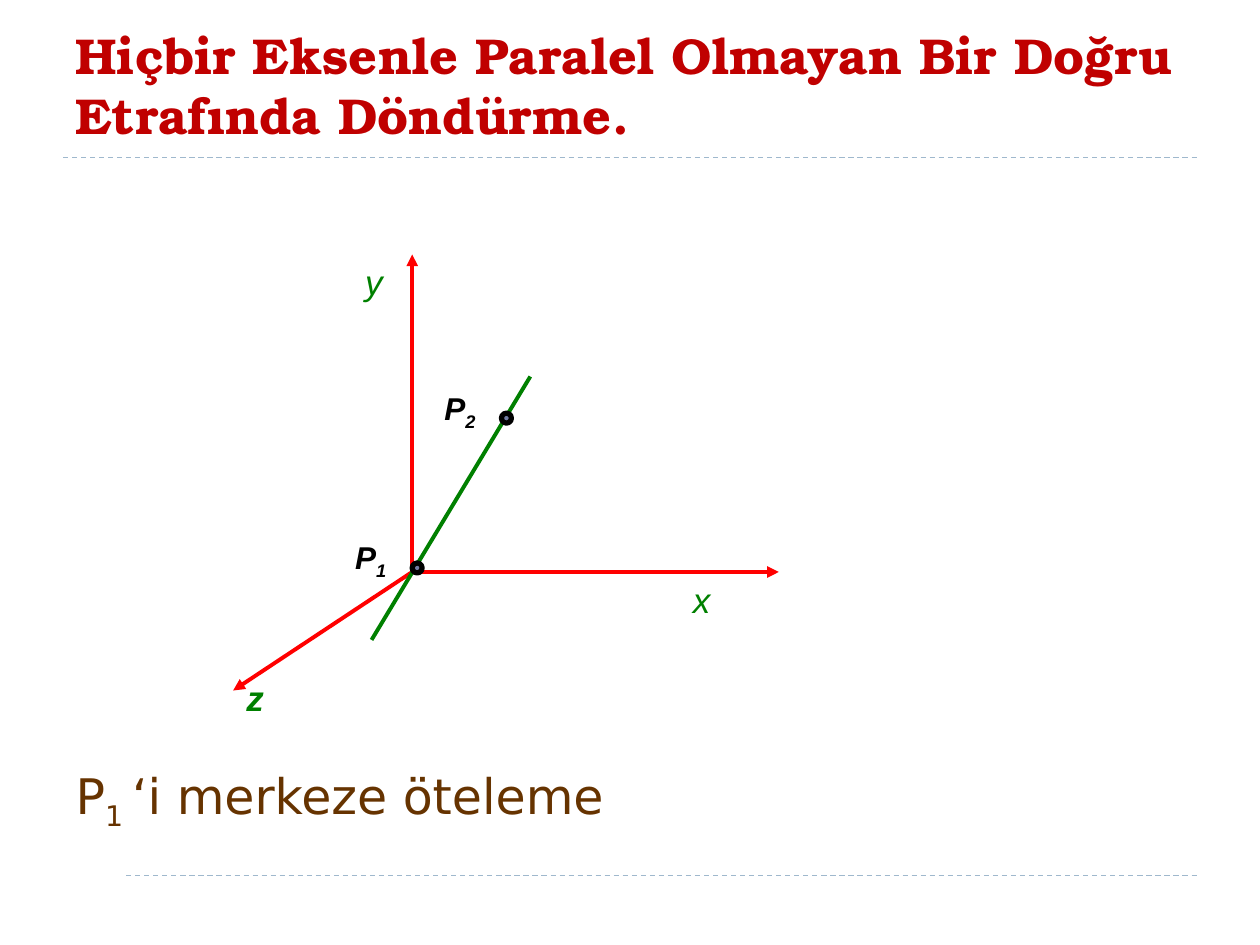
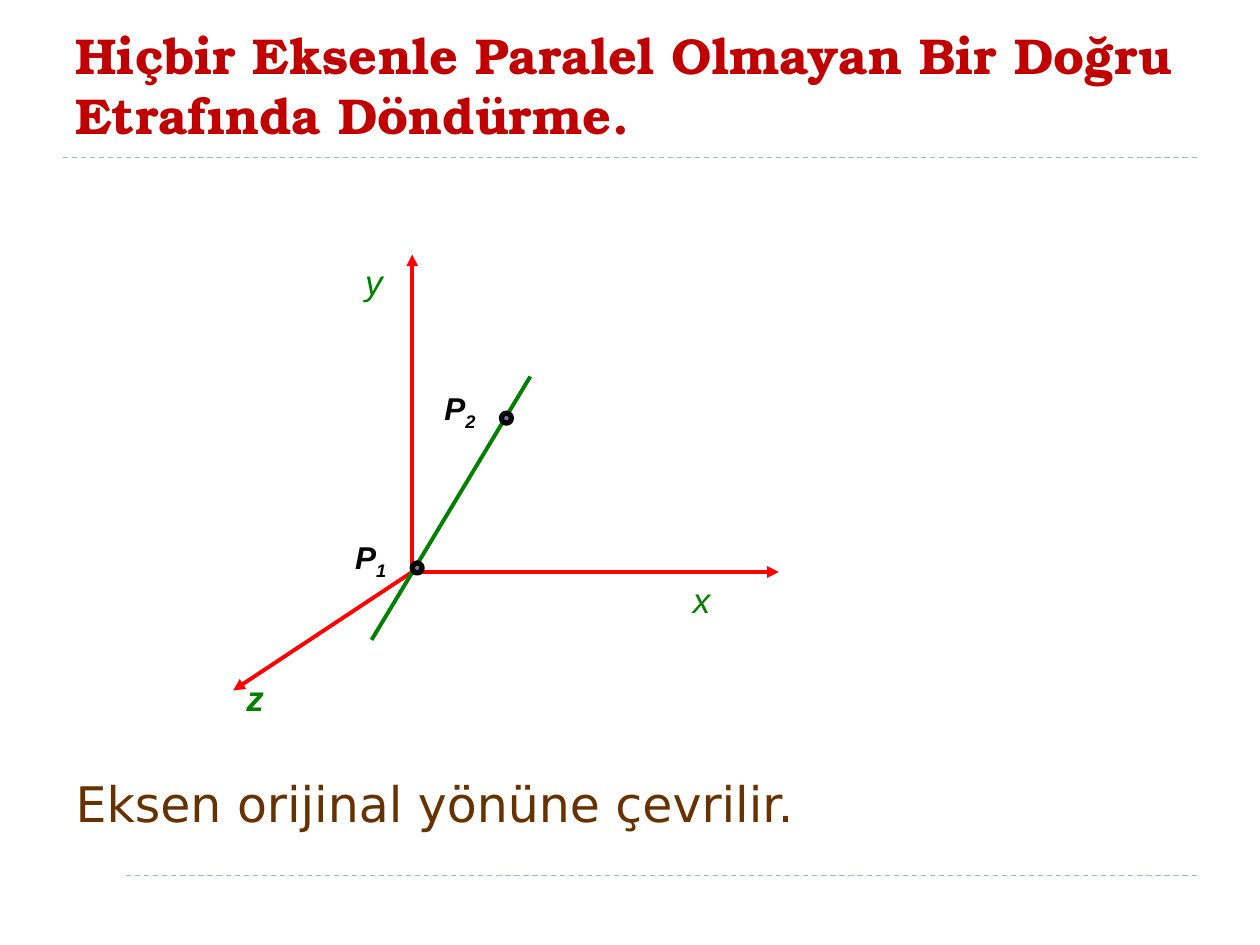
from dataclasses import dataclass

from lxml import etree
from pptx import Presentation
from pptx.dml.color import RGBColor
from pptx.enum.dml import MSO_LINE
from pptx.enum.shapes import MSO_CONNECTOR, MSO_SHAPE
from pptx.enum.text import MSO_ANCHOR, MSO_AUTO_SIZE, PP_ALIGN
from pptx.oxml.ns import qn
from pptx.shapes.base import BaseShape
from pptx.slide import Slide
from pptx.text.text import _Paragraph as Paragraph
from pptx.util import Cm, Pt

RED = RGBColor(0xFF, 0x00, 0x00)
GREEN = RGBColor(0x00, 0x80, 0x00)
BLACK = RGBColor(0x00, 0x00, 0x00)
WHITE = RGBColor(0xFF, 0xFF, 0xFF)
TITLE_RED = RGBColor(0xC0, 0x00, 0x00)
BODY_BROWN = RGBColor(0x66, 0x33, 0x00)
RULE_BLUE = RGBColor(0x9F, 0xB8, 0xCD)
POINT_FILL = RGBColor(0x72, 0x7C, 0xA3)

STRAIGHT = MSO_CONNECTOR.STRAIGHT
DASH = MSO_LINE.DASH
RECTANGLE = MSO_SHAPE.RECTANGLE
POINT_SHAPE = MSO_SHAPE.FLOWCHART_CONNECTOR
NO_AUTOFIT = MSO_AUTO_SIZE.NONE
MIDDLE = MSO_ANCHOR.MIDDLE
BOTTOM = MSO_ANCHOR.BOTTOM
LEFT = PP_ALIGN.LEFT

TITLE_TEXT = "Hiçbir Eksenle Paralel Olmayan Bir Doğru Etrafında Döndürme."
MARGIN, CONTENT_WIDTH = 1.27, 22.86
RULE_HEIGHTS = (17.65, 3.18)
ORIGIN = (8.31, 11.53)
POINT_SIZE = 0.2


@dataclass(frozen=True)
class TextStyle:
    font: str
    size: float
    color: RGBColor
    bold: bool = False
    italic: bool = False


@dataclass(frozen=True)
class TextPiece:
    text: str
    subscript: bool = False


@dataclass(frozen=True)
class Line:
    start: tuple[float, float]
    end: tuple[float, float]
    color: RGBColor
    width: float = 2.25
    arrow: bool = False
    dashed: bool = False


@dataclass(frozen=True)
class Label:
    left: float
    top: float
    width: float
    height: float
    pieces: tuple[TextPiece, ...]
    style: TextStyle


TITLE_STYLE = TextStyle("TeX Gyre Bonum", 28.8, TITLE_RED, bold=True)
BODY_STYLE = TextStyle("DejaVu Sans", 28, BODY_BROWN)
AXIS_STYLE = TextStyle("Arial", 20, GREEN, italic=True)
BOLD_AXIS_STYLE = TextStyle("Arial", 20, GREEN, bold=True, italic=True)
POINT_STYLE = TextStyle("Arial", 18, BLACK, bold=True, italic=True)

RULES = [
    Line((MARGIN, height), (MARGIN + CONTENT_WIDTH, height), RULE_BLUE, 0.75, dashed=True)
    for height in RULE_HEIGHTS
]
AXIS_TIPS = ((8.31, 5.13), (4.7, 13.92), (15.7, 11.53))
AXES = [Line(ORIGIN, tip, RED, arrow=True) for tip in AXIS_TIPS]
ROTATION_LINE = Line((7.49, 12.9), (10.69, 7.59), GREEN)
POINTS = ((8.31, 11.35), (10.11, 8.33))
LABELS = (
    Label(13.72, 11.53, 1.19, 1.09, (TextPiece("x"),), AXIS_STYLE),
    Label(7.11, 5.13, 1.4, 1.09, (TextPiece("y"),), AXIS_STYLE),
    Label(4.72, 13.51, 1.4, 1.09, (TextPiece("z"),), BOLD_AXIS_STYLE),
    Label(8.71, 7.72, 2.01, 1.02, (TextPiece("P"), TextPiece("2", True)), POINT_STYLE),
    Label(6.91, 10.72, 2.01, 1.02, (TextPiece("P"), TextPiece("1", True)), POINT_STYLE),
)
STEPS = (
    (TextPiece("P"), TextPiece("1 ", True), TextPiece("‘i merkeze öteleme")),
    (TextPiece("Eksen orijinal yönüne çevrilir."),),
)


def add_runs(paragraph: Paragraph, pieces: tuple[TextPiece, ...], style: TextStyle) -> None:
    for piece in pieces:
        run = paragraph.add_run()
        run.text = piece.text
        run.font.name = style.font
        run.font.size = Pt(style.size)
        run.font.color.rgb = style.color
        run.font.bold = style.bold
        run.font.italic = style.italic
        if piece.subscript:
            run._r.get_or_add_rPr().set("baseline", "-25000")


def add_line(slide: Slide, line: Line) -> None:
    ends = [Cm(value) for value in (*line.start, *line.end)]
    connector = slide.shapes.add_connector(STRAIGHT, *ends)
    connector.line.color.rgb = line.color
    connector.line.width = Pt(line.width)
    if line.dashed:
        connector.line.dash_style = DASH
    properties = connector.element.spPr
    if line.arrow:
        etree.SubElement(properties.find(qn("a:ln")), qn("a:tailEnd"), type="triangle")
    etree.SubElement(properties, qn("a:effectLst"))


def add_point(slide: Slide, left: float, top: float) -> None:
    point = slide.shapes.add_shape(
        POINT_SHAPE, Cm(left), Cm(top), Cm(POINT_SIZE), Cm(POINT_SIZE)
    )
    point.shadow.inherit = False
    point.fill.solid()
    point.fill.fore_color.rgb = POINT_FILL
    point.line.color.rgb = BLACK
    point.line.width = Pt(3)


def add_label(slide: Slide, label: Label) -> None:
    box = slide.shapes.add_textbox(
        Cm(label.left), Cm(label.top), Cm(label.width), Cm(label.height)
    )
    box.text_frame.word_wrap = True
    add_runs(box.text_frame.paragraphs[0], label.pieces, label.style)


def fill_placeholder(
    placeholder: BaseShape,
    top: float,
    height: float,
    anchor: MSO_ANCHOR,
    pieces: tuple[TextPiece, ...],
    style: TextStyle,
) -> None:
    placeholder.left, placeholder.top = Cm(MARGIN), Cm(top)
    placeholder.width, placeholder.height = Cm(CONTENT_WIDTH), Cm(height)
    frame = placeholder.text_frame
    frame.auto_size = NO_AUTOFIT
    frame.word_wrap = True
    frame.vertical_anchor = anchor
    paragraph = frame.paragraphs[0]
    paragraph.alignment = LEFT
    add_runs(paragraph, pieces, style)


def add_frame(slide: Slide) -> None:
    """Draw the dashed rules and the white corner that shortens the lower one."""
    for rule in RULES:
        add_line(slide, rule)
    corner = slide.shapes.add_shape(RECTANGLE, Cm(0.89), Cm(17.32), Cm(1.6), Cm(1.6))
    corner.shadow.inherit = False
    corner.fill.solid()
    corner.fill.fore_color.rgb = WHITE
    corner.line.fill.background()


def add_axes_diagram(slide: Slide) -> None:
    for line in (*AXES, ROTATION_LINE):
        add_line(slide, line)
    for left, top in POINTS:
        add_point(slide, left, top)
    for label in LABELS:
        add_label(slide, label)


def add_step_slide(presentation: Presentation, step: tuple[TextPiece, ...]) -> None:
    slide = presentation.slides.add_slide(presentation.slide_layouts[1])
    add_frame(slide)
    add_axes_diagram(slide)
    title, body = slide.placeholders
    fill_placeholder(title, 0.33, 2.74, MIDDLE, (TextPiece(TITLE_TEXT),), TITLE_STYLE)
    fill_placeholder(body, 3.38, 13.72, BOTTOM, step, BODY_STYLE)
    body.text_frame.margin_bottom = Cm(0.32)
    paragraph_properties = body.text_frame.paragraphs[0]._p.get_or_add_pPr()
    paragraph_properties.set("marL", "0")
    paragraph_properties.set("indent", "0")
    etree.SubElement(paragraph_properties, qn("a:buNone"))


def main() -> None:
    presentation = Presentation()
    presentation.slide_width, presentation.slide_height = Cm(25.4), Cm(19.05)
    for step in STEPS:
        add_step_slide(presentation, step)
    presentation.save("out.pptx")


if __name__ == "__main__":
    main()
